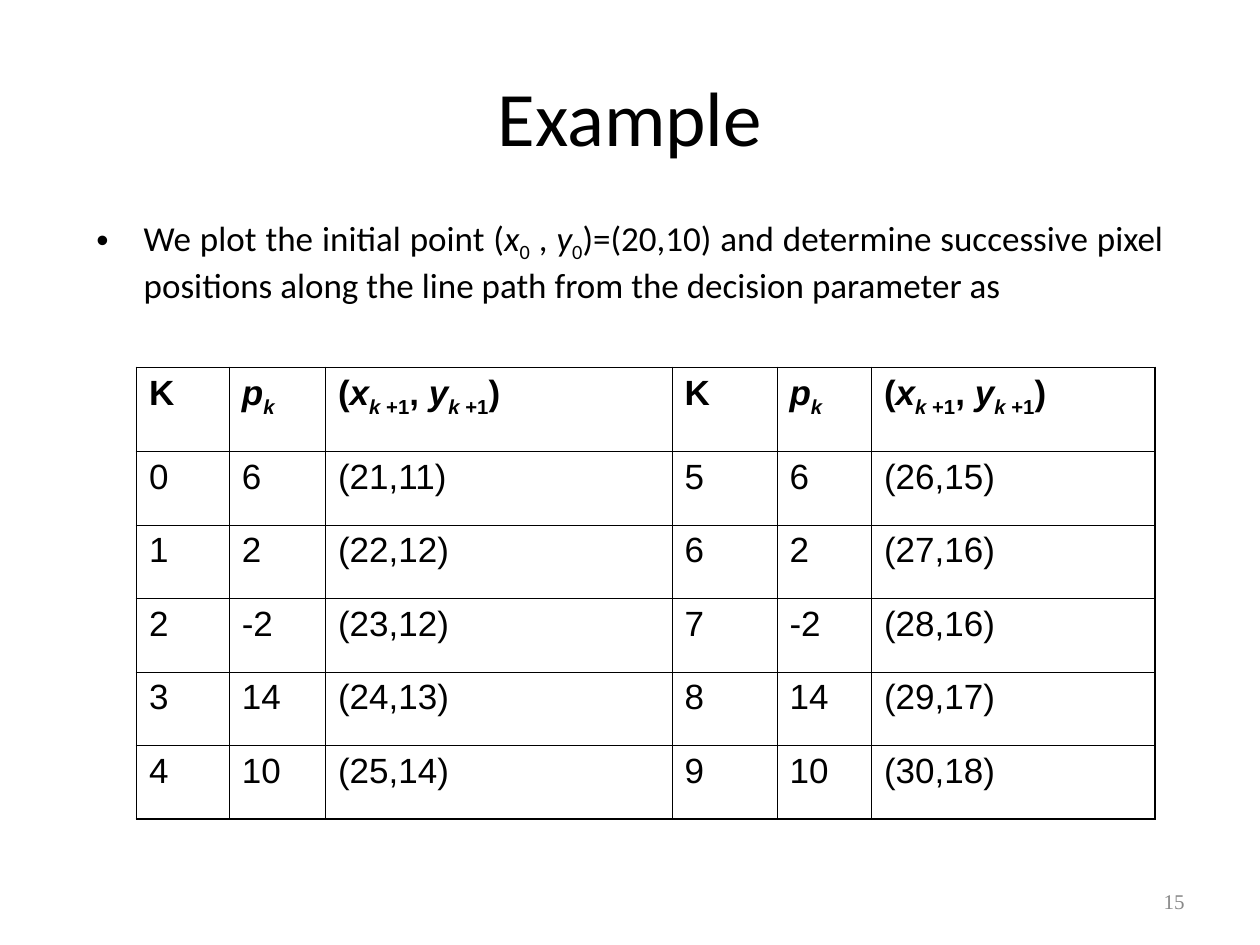
from dataclasses import dataclass
from typing import NamedTuple

from lxml.etree import SubElement
from pptx import Presentation
from pptx.dml.color import RGBColor
from pptx.enum.text import MSO_ANCHOR, PP_ALIGN
from pptx.oxml import parse_xml
from pptx.oxml.ns import nsdecls, qn
from pptx.util import Pt


@dataclass(frozen=True)
class Theme:
    ink: RGBColor = RGBColor(0x00, 0x00, 0x00)
    muted: RGBColor = RGBColor(0x89, 0x89, 0x89)
    title_size: float = 44
    text_size: float = 20
    number_size: float = 12
    heading_font: str = "Calibri"
    table_font: str = "Arial"
    number_font: str = "Times New Roman"
    inner_line: float = 0.45
    outer_line: float = 1.08


class Box(NamedTuple):
    left: float
    top: float
    width: float
    height: float


class Piece(NamedTuple):
    text: str
    italic: bool = False
    subscript: bool = False


THEME = Theme()

TITLE_BOX = Box(54, 30, 612, 72)
BODY_BOX = Box(48, 120, 624, 102)
TABLE_BOX = Box(78, 210, 582, 258)
NUMBER_BOX = Box(516, 500.4, 168, 28.8)
COLUMN_WIDTHS = (53, 55, 198, 60, 54, 162)
HEADER_HEIGHT, ROW_HEIGHT = 48, 42
BULLET_INDENT = 27

BODY = [
    Piece("We plot the initial point ("),
    Piece("x", italic=True), Piece("0", subscript=True), Piece(" , "),
    Piece("y", italic=True), Piece("0", subscript=True),
    Piece(")=(20,10) and determine successive pixel positions along "
          "the line path from the decision parameter as"),
]
NEXT_INDEX = [Piece("k ", italic=True, subscript=True), Piece("+1", subscript=True)]
HEADER = [
    [Piece("K")],
    [Piece("p", italic=True), Piece("k", italic=True, subscript=True)],
    [Piece("("), Piece("x", italic=True), *NEXT_INDEX,
     Piece(", "), Piece("y", italic=True), *NEXT_INDEX, Piece(")")],
]
DECISIONS = (6, 2, -2, 14, 10)
POINTS = ((21, 11), (22, 12), (23, 12), (24, 13), (25, 14),
          (26, 15), (27, 16), (28, 16), (29, 17), (30, 18))


def place(shape, box: Box) -> None:
    shape.left, shape.top, shape.width, shape.height = map(Pt, box)


def format_font(font, name: str, size: float, color: RGBColor, bold: bool = False) -> None:
    font.name = name
    font.size = Pt(size)
    font.bold = bold
    font.color.rgb = color


def write_pieces(paragraph, pieces: list[Piece], font_name: str, bold: bool = False) -> None:
    for piece in pieces:
        run = paragraph.add_run()
        run.text = piece.text
        format_font(run.font, font_name, THEME.text_size, THEME.ink, bold)
        run.font.italic = piece.italic
        if piece.subscript:
            run.font._element.set("baseline", "-25000")


def add_bullet(paragraph) -> None:
    properties = paragraph._p.get_or_add_pPr()
    properties.set("marL", str(Pt(BULLET_INDENT)))
    properties.set("indent", str(-Pt(BULLET_INDENT)))
    SubElement(properties, qn("a:buFont")).set("typeface", "Arial")
    SubElement(properties, qn("a:buChar")).set("char", "•")


def set_borders(cell, widths: dict[str, float]) -> None:
    """Draw the cell edges; keys are L, R, T and B, in schema order."""
    properties = cell._tc.get_or_add_tcPr()
    for position, (edge, width) in enumerate(widths.items()):
        line = parse_xml(
            f'<a:ln{edge} {nsdecls("a")} w="{Pt(width)}"><a:solidFill>'
            f'<a:srgbClr val="{THEME.ink}"/></a:solidFill></a:ln{edge}>')
        properties.insert(position, line)


def table_rows() -> list[list[list[Piece]]]:
    """Set the two halves of the iteration side by side under the header."""
    half = len(DECISIONS)
    rows = [HEADER * 2]
    for index, decision in enumerate(DECISIONS):
        row = []
        for step in (index, index + half):
            x, y = POINTS[step]
            row += [[Piece(str(step))], [Piece(str(decision))], [Piece(f"({x},{y})")]]
        rows.append(row)
    return rows


def add_steps_table(slide) -> None:
    rows = table_rows()
    last_row, last_column = len(rows) - 1, len(COLUMN_WIDTHS) - 1
    table = slide.shapes.add_table(
        len(rows), len(COLUMN_WIDTHS), *map(Pt, TABLE_BOX)).table
    table.first_row = table.horz_banding = False
    for column, width in zip(table.columns, COLUMN_WIDTHS):
        column.width = Pt(width)
    for row_index, row in enumerate(rows):
        is_header = row_index == 0
        table.rows[row_index].height = Pt(HEADER_HEIGHT if is_header else ROW_HEIGHT)
        for column_index, pieces in enumerate(row):
            cell = table.cell(row_index, column_index)
            cell.fill.background()
            write_pieces(cell.text_frame.paragraphs[0], pieces, THEME.table_font, is_header)
            on_outside = {
                "L": column_index == 0,
                "R": column_index == last_column,
                "T": is_header,
                "B": row_index == last_row,
            }
            set_borders(cell, {edge: THEME.outer_line if outside else THEME.inner_line
                               for edge, outside in on_outside.items()})


def add_title(slide) -> None:
    title = slide.shapes.title
    place(title, TITLE_BOX)
    title.text_frame.text = "Example"
    title.text_frame.vertical_anchor = MSO_ANCHOR.MIDDLE
    paragraph = title.text_frame.paragraphs[0]
    paragraph.alignment = PP_ALIGN.CENTER
    format_font(paragraph.runs[0].font, THEME.heading_font, THEME.title_size, THEME.ink)


def add_body(slide) -> None:
    text_frame = slide.shapes.add_textbox(*map(Pt, BODY_BOX)).text_frame
    text_frame.word_wrap = True
    paragraph = text_frame.paragraphs[0]
    paragraph.alignment = PP_ALIGN.JUSTIFY
    add_bullet(paragraph)
    write_pieces(paragraph, BODY, THEME.heading_font)


def add_slide_number(slide) -> None:
    text_frame = slide.shapes.add_textbox(*map(Pt, NUMBER_BOX)).text_frame
    text_frame.word_wrap = True
    text_frame.vertical_anchor = MSO_ANCHOR.MIDDLE
    text_frame.text = "15"
    paragraph = text_frame.paragraphs[0]
    paragraph.alignment = PP_ALIGN.RIGHT
    format_font(paragraph.runs[0].font, THEME.number_font, THEME.number_size, THEME.muted)


def main() -> None:
    presentation = Presentation()
    presentation.slide_width, presentation.slide_height = Pt(720), Pt(540)
    slide = presentation.slides.add_slide(presentation.slide_layouts.get_by_name("Title Only"))
    add_title(slide)
    add_body(slide)
    add_steps_table(slide)
    add_slide_number(slide)
    presentation.save("out.pptx")


if __name__ == "__main__":
    main()
